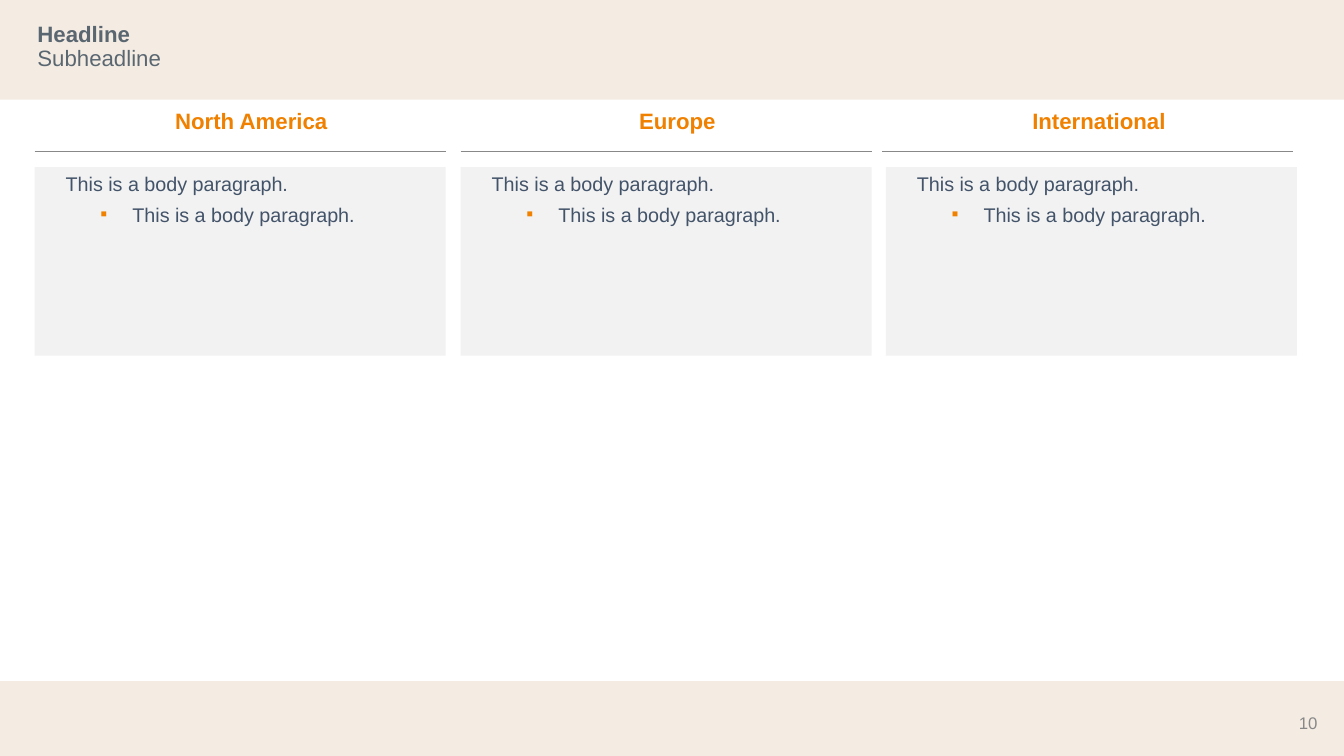
from copy import deepcopy

from lxml import etree
from pptx import Presentation
from pptx.dml.color import RGBColor
from pptx.enum import shapes, text
from pptx.oxml import ns
from pptx.util import Inches, Pt

FONT = "Arial"
BAND, PANEL, ACCENT = "F4ECE3", "F2F2F2", "F08100"
TITLE_COLOR, BODY_COLOR, GREY = "5A6771", "435369", "888888"
SLIDE_WIDTH, SLIDE_HEIGHT = 15.11, 8.5
COLUMN_WIDTH = 4.62
BODY_TEXT = "This is a body paragraph."
# Region, left of heading and rule, left of panel
COLUMNS = [
    ("North America", 0.39, 0.39),
    ("Europe", 5.18, 5.18),
    ("International", 9.92, 9.96),
]


def color(hex_value):
    return RGBColor.from_string(hex_value)


def box_lengths(*values):
    return [Inches(value) for value in values]


def style_run(run, size, hex_value, bold=False):
    run.font.name = FONT
    run.font.size = Pt(size)
    run.font.bold = bold
    run.font.color.rgb = color(hex_value)


def set_indent(paragraph, left, first_line):
    properties = paragraph._p.get_or_add_pPr()
    properties.set("marL", str(Inches(left)))
    properties.set("indent", str(Inches(first_line)))
    return properties


def add_bullet(properties):
    bullet_color = etree.SubElement(properties, ns.qn("a:buClr"))
    etree.SubElement(bullet_color, ns.qn("a:srgbClr"), val=ACCENT)
    etree.SubElement(properties, ns.qn("a:buFont"), typeface=FONT)
    etree.SubElement(properties, ns.qn("a:buChar"), char="▪")


def add_rectangle(slide, left, top, width, height, fill):
    shape = slide.shapes.add_shape(
        shapes.MSO_SHAPE.RECTANGLE, *box_lengths(left, top, width, height))
    shape.shadow.inherit = False
    shape.fill.solid()
    shape.fill.fore_color.rgb = color(fill)
    shape.line.fill.background()
    return shape


def add_label(slide, left, top, width, height, label, alignment):
    shape = slide.shapes.add_textbox(*box_lengths(left, top, width, height))
    frame = shape.text_frame
    frame.word_wrap = True
    frame.text = label
    frame.paragraphs[0].alignment = alignment
    return frame


def add_rule(slide, left, top):
    line = slide.shapes.add_connector(
        shapes.MSO_CONNECTOR.STRAIGHT,
        *box_lengths(left, top, left + COLUMN_WIDTH, top))
    line.line.color.rgb = color(GREY)
    line.line.width = Pt(1)
    etree.SubElement(line._element.spPr, ns.qn("a:effectLst"))


def add_heading(slide, left, region):
    frame = add_label(slide, left, 1.16, COLUMN_WIDTH, 0.45, region,
                      text.PP_ALIGN.CENTER)
    paragraph = frame.paragraphs[0]
    set_indent(paragraph, 0.5, -0.25)
    style_run(paragraph.runs[0], 18, ACCENT, bold=True)


def add_panel(slide, left):
    shape = add_rectangle(slide, left, 1.88, COLUMN_WIDTH, 2.12, PANEL)
    frame = shape.text_frame
    frame.word_wrap = True
    frame.vertical_anchor = text.MSO_ANCHOR.TOP
    frame.text = BODY_TEXT
    set_indent(frame.paragraphs[0], 0.5, -0.25)

    bullet = frame.add_paragraph()
    bullet.text = BODY_TEXT
    bullet.level = 1
    bullet.space_before = Pt(5.7)
    add_bullet(set_indent(bullet, 1, -0.36))

    for paragraph in frame.paragraphs:
        paragraph.alignment = text.PP_ALIGN.LEFT
        style_run(paragraph.runs[0], 16, BODY_COLOR)


def format_title(slide):
    title = slide.shapes.title
    title.left, title.top, title.width, title.height = box_lengths(
        0.32, 0.16, 13.03, 0.75)
    frame = title.text_frame
    frame.auto_size = text.MSO_AUTO_SIZE.NONE
    frame.vertical_anchor = text.MSO_ANCHOR.MIDDLE
    frame.text = "Headline\vSubheadline"
    paragraph = frame.paragraphs[0]
    paragraph.alignment = text.PP_ALIGN.LEFT
    paragraph.line_spacing = 0.9
    headline, subheadline = paragraph.runs
    style_run(headline, 18, TITLE_COLOR, bold=True)
    style_run(subheadline, 18, TITLE_COLOR)
    # The line break takes the headline's size
    line_break = paragraph._p.find(ns.qn("a:br"))
    line_break.insert(0, deepcopy(headline._r.rPr))
    # Bring the title in front of the top band
    slide.shapes._spTree.append(title._element)


def main():
    presentation = Presentation()
    presentation.slide_width = Inches(SLIDE_WIDTH)
    presentation.slide_height = Inches(SLIDE_HEIGHT)
    slide = presentation.slides.add_slide(presentation.slide_layouts[5])

    # Bands and page number
    add_rectangle(slide, 0, 7.66, SLIDE_WIDTH, 0.84, BAND)
    add_rectangle(slide, 0, 0, SLIDE_WIDTH, 1.12, BAND)
    number = add_label(slide, 14.36, 8.02, 0.55, 0.21, "10",
                       text.PP_ALIGN.RIGHT)
    number.vertical_anchor = text.MSO_ANCHOR.MIDDLE
    style_run(number.paragraphs[0].runs[0], 13.6, GREY)

    # Region columns
    for region, heading_left, panel_left in COLUMNS:
        add_rule(slide, heading_left, 1.7)
        add_heading(slide, heading_left, region)
        add_panel(slide, panel_left)

    format_title(slide)
    presentation.save("out.pptx")


if __name__ == "__main__":
    main()
